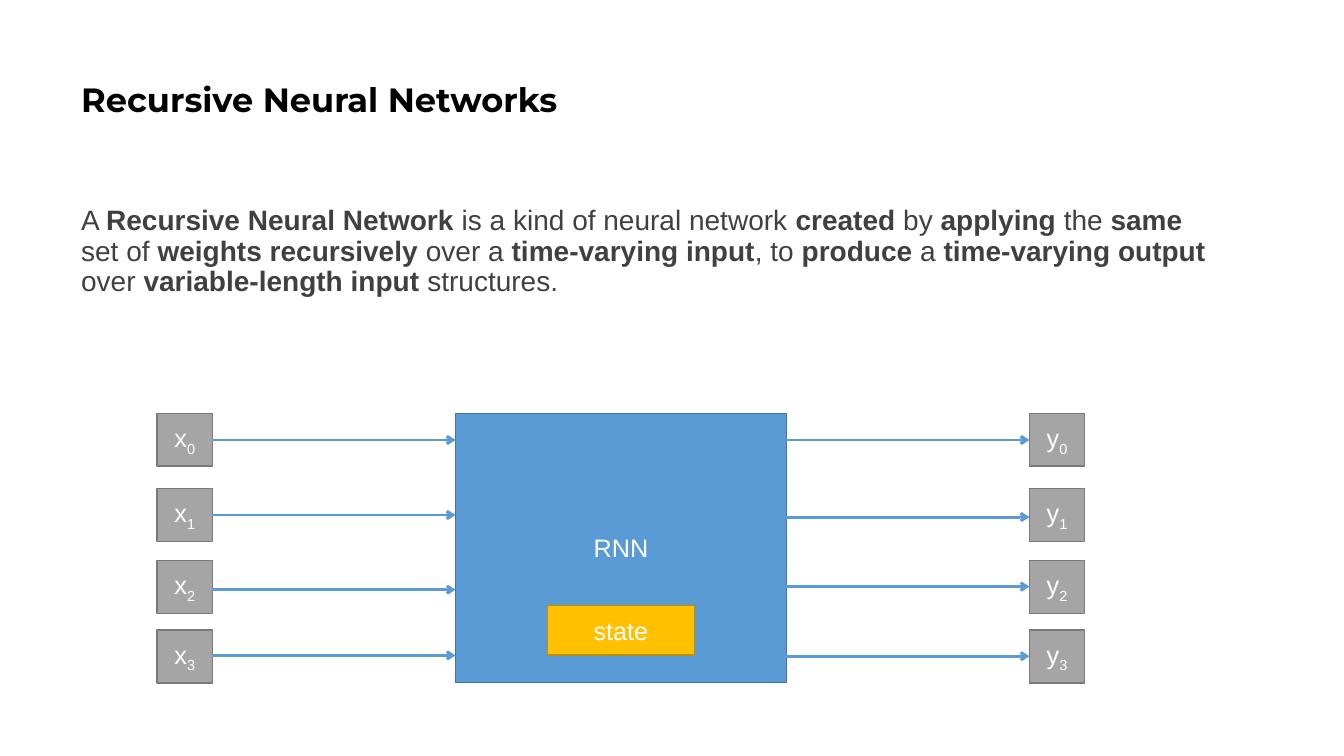
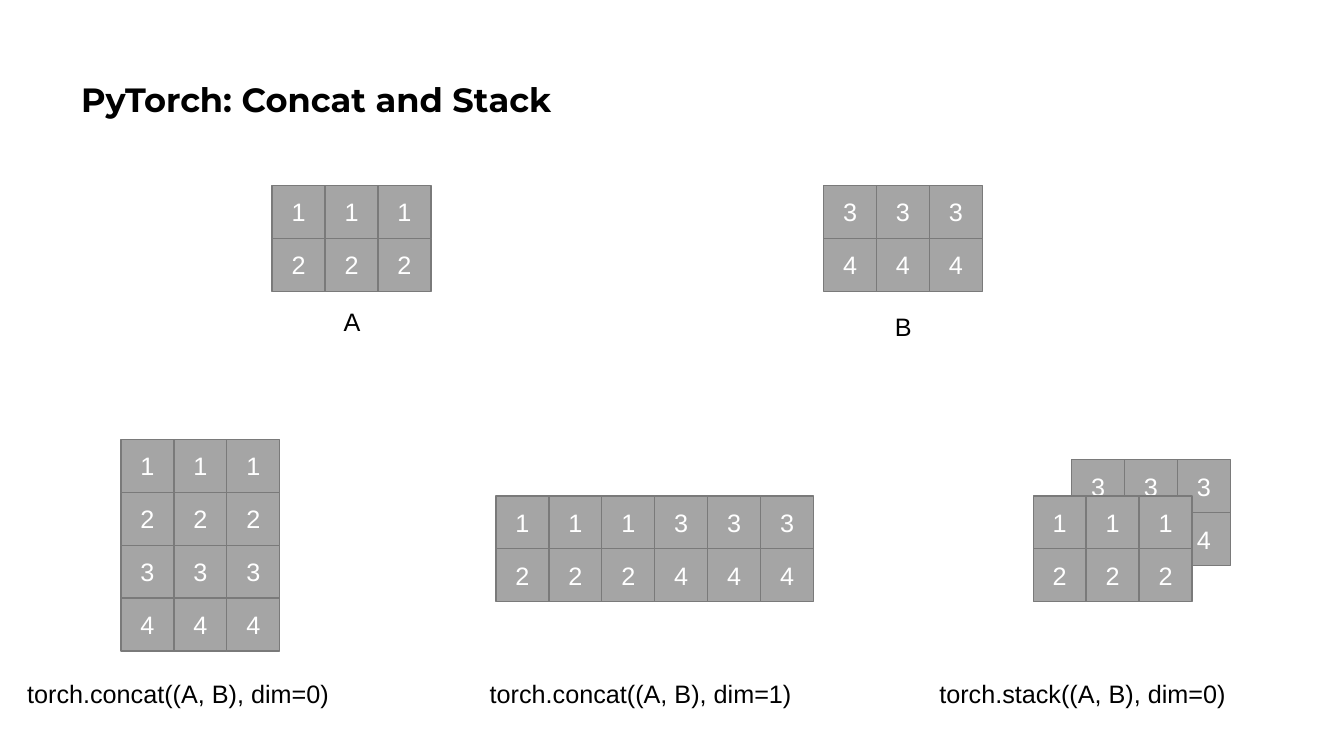
"""Builds two slides on recursive networks and tensor joining."""
import pptx
import pptx.util
import pptx.dml.color
import pptx.enum.shapes
import pptx.enum.text
import pptx.oxml
import pptx.oxml.ns

RGBColor = pptx.dml.color.RGBColor
BLACK = RGBColor(0x00, 0x00, 0x00)
WHITE = RGBColor(0xFF, 0xFF, 0xFF)
DARK_GREY = RGBColor(0x40, 0x40, 0x40)
GREY, GREY_EDGE = RGBColor(0xA5, 0xA5, 0xA5), RGBColor(0x7A, 0x7A, 0x7A)
BLUE, BLUE_EDGE = RGBColor(0x5B, 0x9B, 0xD5), RGBColor(0x43, 0x73, 0x9E)
GOLD, GOLD_EDGE = RGBColor(0xFF, 0xC0, 0x00), RGBColor(0xBD, 0x8E, 0x00)

TOP, MIDDLE = pptx.enum.text.MSO_ANCHOR.TOP, pptx.enum.text.MSO_ANCHOR.MIDDLE
LEFT, CENTER = pptx.enum.text.PP_ALIGN.LEFT, pptx.enum.text.PP_ALIGN.CENTER
Pt = pptx.util.Pt

STYLES = {
    "title": {
        "font": {"name": "Montserrat", "size": Pt(24), "bold": True},
        "color": BLACK,
        "paragraph": {"line_spacing": 0.9, "alignment": LEFT},
        "anchor": MIDDLE,
    },
    "body": {
        "font": {"name": "Arial", "size": Pt(20)},
        "color": DARK_GREY,
        "paragraph": {"line_spacing": 0.9, "space_before": Pt(10), "alignment": LEFT},
        "anchor": TOP,
    },
    "caption": {
        "font": {"name": "Arial", "size": Pt(18)},
        "color": BLACK,
        "paragraph": {"alignment": LEFT},
        "anchor": TOP,
    },
    "box": {
        "font": {"name": "Arial", "size": Pt(18)},
        "color": WHITE,
        "paragraph": {"alignment": CENTER},
        "anchor": MIDDLE,
    },
}

NETWORK_TITLE = "Recursive Neural Networks"
NETWORK_TEXT = (
    "A **Recursive Neural Network** is a kind of neural network **created **by "
    "**applying **the** same** set of **weights recursively **over a** time-varying "
    "input**, to **produce **a** time-varying output** over **variable-length input "
    "**structures."
)
TENSOR_TITLE = "PyTorch: Concat and Stack"
A = [[1] * 3, [2] * 3]
B = [[3] * 3, [4] * 3]

SLIDE_WIDTH, SLIDE_HEIGHT = pptx.util.Inches(13.33), pptx.util.Inches(7.5)
TITLE_AREA = (5.3, 3.73, 86.25, 19.33)
BODY_AREA = (5.3, 26.67, 86.25, 14.53)
CELL_HEIGHT = 7
CELL_WIDTH = CELL_HEIGHT * SLIDE_HEIGHT / SLIDE_WIDTH

NODE_WIDTH, NODE_HEIGHT = 4.1, 7
NODE_TOPS = (54.67, 64.6, 74.13, 83.33)
NODE_COLUMNS = {"x": 11.7, "y": 76.6}
NETWORK_AREA = (33.9, 54.67, 24.6, 35.6)
STATE_AREA = (40.73, 80.13, 10.95, 6.53)
INPUT_ARROWS = (58.2, 68.13, 78, 86.7)
OUTPUT_ARROWS = (58.2, 68.4, 77.6, 86.8)

MATRICES = [
    (79.73, 60.8, B),
    (20.25, 24.53, A),
    (61.28, 24.53, B),
    (9, 58.13, A + B),
    (36.9, 65.6, [left + right for left, right in zip(A, B)]),
    (76.88, 65.6, A),
]
CAPTIONS = [
    ("A", 24.83, 39.87, 2.75),
    ("B", 65.85, 40.53, 2.75),
    ("torch.concat((A, B), dim=0)", 1.28, 89.07, 27.4),
    ("torch.concat((A, B), dim=1)", 35.7, 89.07, 27.4),
    ("torch.stack((A, B), dim=0)", 69.15, 89.07, 26.1),
]
CAPTION_HEIGHT = 5.33


def place(x, y):
    return round(SLIDE_WIDTH * x / 100), round(SLIDE_HEIGHT * y / 100)


def apply(target, values):
    for name, value in values.items():
        setattr(target, name, value)


def write(shape, text, style_name, subscript=""):
    style = STYLES[style_name]
    apply(shape.text_frame, {"word_wrap": True, "vertical_anchor": style["anchor"]})
    paragraph = shape.text_frame.paragraphs[0]
    apply(paragraph, style["paragraph"])
    pieces = [(piece, index % 2 == 1, None) for index, piece in enumerate(text.split("**"))]
    if subscript:
        pieces.append((subscript, False, "-25000"))
    for piece, strong, baseline in pieces:
        run = paragraph.add_run()
        run.text = piece
        apply(run.font, {"bold": strong, **style["font"]})
        run.font.color.rgb = style["color"]
        if baseline:
            run._r.get_or_add_rPr().set("baseline", baseline)


def add_text(slide, area, text, style_name):
    write(slide.shapes.add_textbox(*place(*area[:2]), *place(*area[2:])), text, style_name)


def add_box(slide, area, text, fill=GREY, edge=GREY_EDGE, subscript=""):
    rectangle = pptx.enum.shapes.MSO_SHAPE.RECTANGLE
    shape = slide.shapes.add_shape(rectangle, *place(*area[:2]), *place(*area[2:]))
    shape.shadow.inherit = False
    shape.fill.solid()
    shape.fill.fore_color.rgb = fill
    shape.line.color.rgb = edge
    shape.line.width = Pt(1)
    write(shape, text, "box", subscript)


def add_arrow(slide, start, end, y):
    straight = pptx.enum.shapes.MSO_CONNECTOR.STRAIGHT
    arrow = slide.shapes.add_connector(straight, *place(start, y), *place(end, y))
    arrow.line.color.rgb = BLUE
    arrow.line.width = Pt(2)
    head = pptx.oxml.parse_xml(
        '<a:tailEnd %s type="arrow"/>' % pptx.oxml.ns.nsdecls("a"))
    arrow.line._get_or_add_ln().append(head)
    arrow._element.spPr.append(
        pptx.oxml.parse_xml("<a:effectLst %s/>" % pptx.oxml.ns.nsdecls("a")))


def add_matrix(slide, left, top, rows):
    for row, values in enumerate(rows):
        for column, value in enumerate(values):
            area = (left + column * CELL_WIDTH, top + row * CELL_HEIGHT,
                    CELL_WIDTH, CELL_HEIGHT)
            add_box(slide, area, str(value))


def add_titled_slide(presentation, title):
    slide = presentation.slides.add_slide(presentation.slide_layouts[6])
    add_text(slide, TITLE_AREA, title, "title")
    return slide


def build_network(presentation):
    slide = add_titled_slide(presentation, NETWORK_TITLE)
    add_text(slide, BODY_AREA, NETWORK_TEXT, "body")
    add_box(slide, NETWORK_AREA, "RNN", BLUE, BLUE_EDGE)
    for letter, left in NODE_COLUMNS.items():
        for index, top in enumerate(NODE_TOPS):
            add_box(slide, (left, top, NODE_WIDTH, NODE_HEIGHT), letter,
                    subscript=str(index))
    network_left, network_right = NETWORK_AREA[0], NETWORK_AREA[0] + NETWORK_AREA[2]
    for input_y, output_y in zip(INPUT_ARROWS, OUTPUT_ARROWS):
        add_arrow(slide, NODE_COLUMNS["x"] + NODE_WIDTH, network_left, input_y)
        add_arrow(slide, network_right, NODE_COLUMNS["y"], output_y)
    add_box(slide, STATE_AREA, "state", GOLD, GOLD_EDGE)


def build_tensors(presentation):
    slide = add_titled_slide(presentation, TENSOR_TITLE)
    for left, top, rows in MATRICES:
        add_matrix(slide, left, top, rows)
    for text, left, top, width in CAPTIONS:
        add_text(slide, (left, top, width, CAPTION_HEIGHT), text, "caption")


presentation = pptx.Presentation()
apply(presentation, {"slide_width": SLIDE_WIDTH, "slide_height": SLIDE_HEIGHT})
build_network(presentation)
build_tensors(presentation)
presentation.save("out.pptx")
